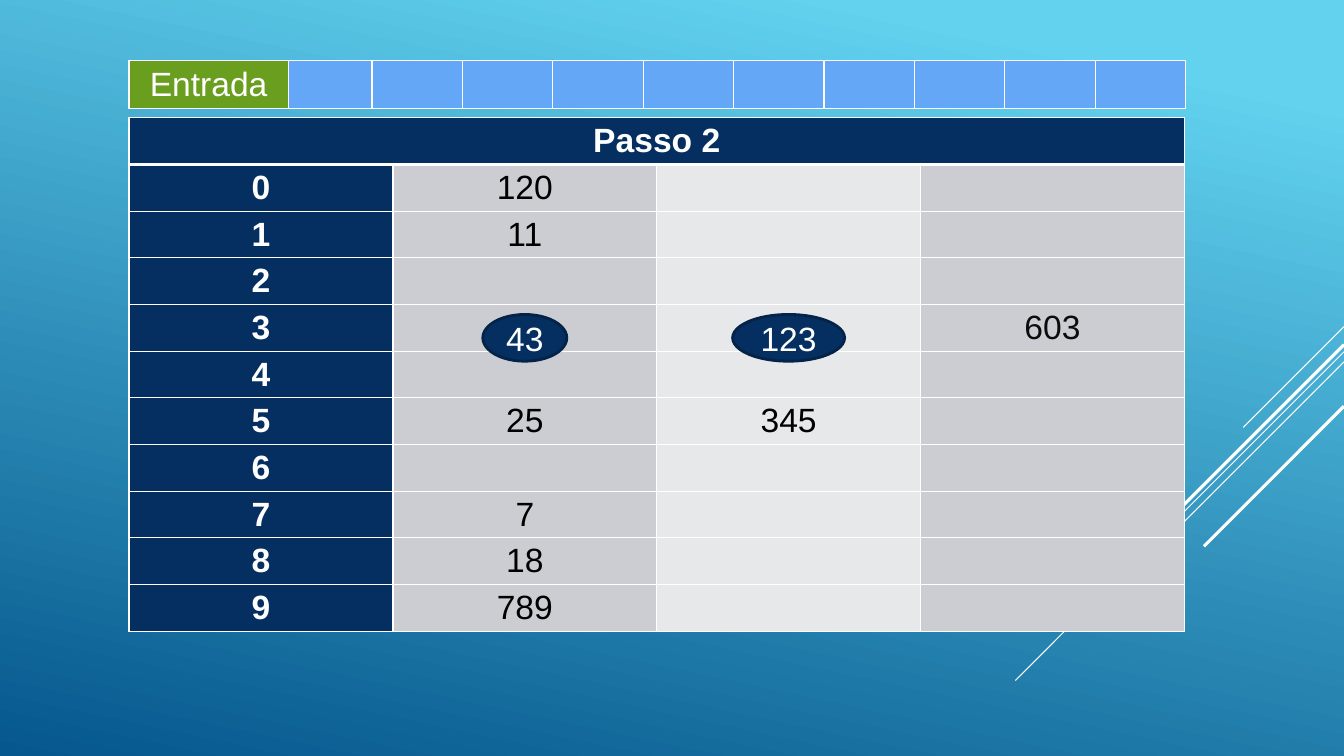
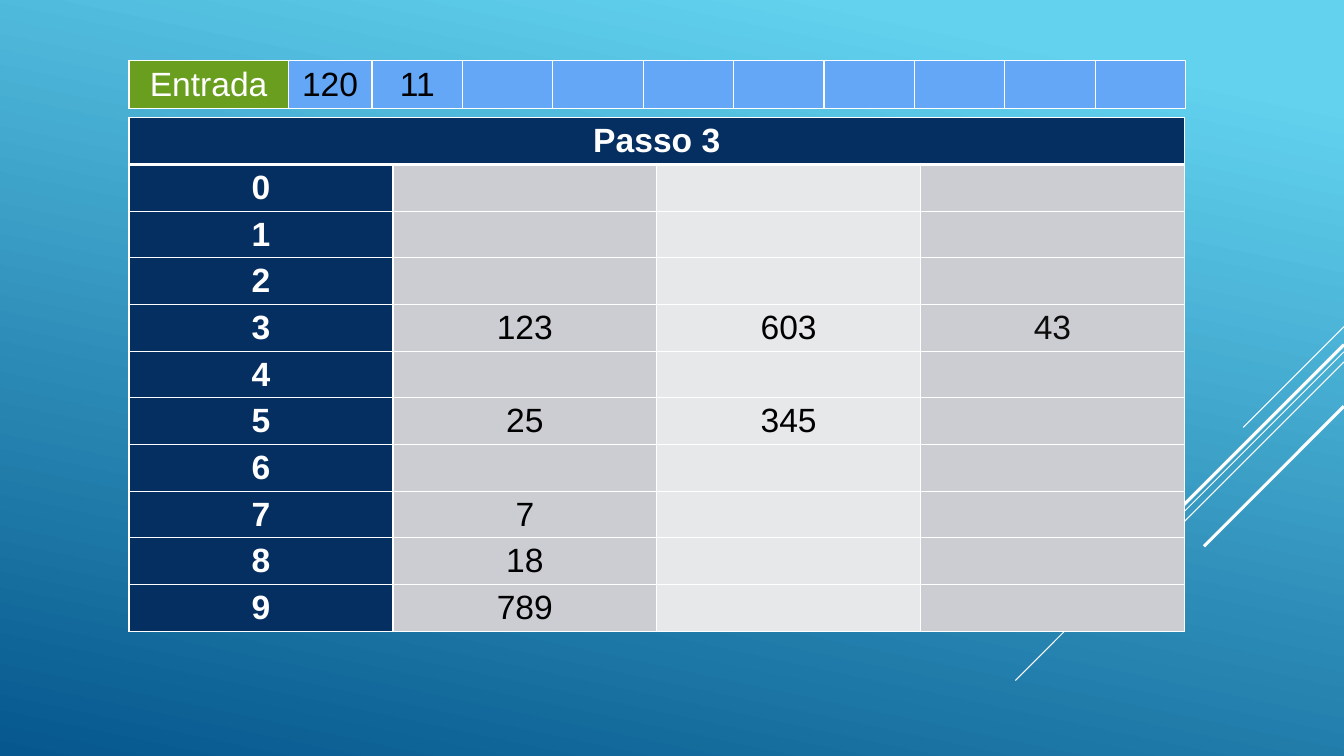
from lxml.etree import SubElement
from pptx import Presentation
from pptx.dml.color import RGBColor
from pptx.enum.shapes import MSO_CONNECTOR as Connector, MSO_SHAPE as Shape
from pptx.enum.text import MSO_ANCHOR as Anchor, PP_ALIGN as Align
from pptx.oxml import parse_xml
from pptx.oxml.ns import nsdecls, qn
from pptx.util import Pt

# Shared look
WIDTH, HEIGHT = 960, 540
WHITE, BLACK, SOFT_BLACK = "FFFFFF", "000000", "0C0C0C"
NAVY, NAVY_LINE = "052F61", "042348"
GREEN, SKY = "6A9E1F", "64A7F7"
COLUMN_FILLS = [NAVY, "CCCDD2", "E7E8EA", "CCCDD2"]
GRADIENT = [("62D2EF", 0.1), ("05578D", 1)]
FONT = {"name": "Arial", "size": Pt(24), "bold": False}

# Diagonal rays: top at the right edge, horizontal run, line width
RAYS = [(233.3, 72, 0.75), (251.3, 234.7, 0.75), (258.5, 149, 0.75),
        (246.2, 137.5, 2.25), (290.2, 100, 2.25)]

# Boxes: left, top, width, height
INPUT_BOX = (92.2, 43.2, 755, 34.5)
BUCKET_BOX = (92.2, 84.2, 753.8, 367)
INPUT_SLOTS = 10
DIGITS = 10

# Bucket contents by digit; marked values are (digit, column, text, width)
STEPS = [
    {"title": "Passo 2", "entries": [],
     "buckets": {0: ["120"], 1: ["11"], 3: ["", "", "603"], 5: ["25", "345"],
                 7: ["7"], 8: ["18"], 9: ["789"]},
     "marked": [(3, 2, "123", 80), (3, 1, "43", 60)]},
    {"title": "Passo 3", "entries": ["120", "11"],
     "buckets": {3: ["123", "603", "43"], 5: ["25", "345"],
                 7: ["7"], 8: ["18"], 9: ["789"]},
     "marked": []},
]


def color(value):
    return RGBColor.from_string(value)


def apply(target, values):
    for name, value in values.items():
        setattr(target, name, value)


def write(text_frame, text, text_color, **changes):
    paragraph = text_frame.paragraphs[0]
    paragraph.alignment = Align.CENTER
    run = paragraph.add_run()
    run.text = text
    apply(run.font, {**FONT, **changes})
    run.font.color.rgb = color(text_color)


def set_borders(cell, **widths):
    properties = cell._tc.get_or_add_tcPr()
    for index, side in enumerate("LRTB"):
        width = Pt(widths.get(side, 1))
        border = parse_xml(
            f'<a:ln{side} {nsdecls("a")} w="{width}"><a:solidFill>'
            f'<a:srgbClr val="{WHITE}"/></a:solidFill></a:ln{side}>')
        properties.insert(index, border)


def fill_cell(cell, fill, text="", text_color=BLACK, margin=3, borders=None, **changes):
    apply(cell, {"vertical_anchor": Anchor.MIDDLE,
                 "margin_top": Pt(margin), "margin_bottom": Pt(margin)})
    cell.fill.solid()
    cell.fill.fore_color.rgb = color(fill)
    set_borders(cell, **(borders or {}))
    if text:
        write(cell.text_frame, text, text_color, **changes)


def add_grid(slide, box, row_count, column_widths):
    table = slide.shapes.add_table(row_count, len(column_widths), *map(Pt, box)).table
    apply(table, {"first_row": False, "horz_banding": False})
    for column, width in zip(table.columns, column_widths):
        column.width = Pt(width)
    return table


def set_background(master):
    fill = master.background.fill
    fill.gradient()
    fill.gradient_angle = 258
    for stop, (value, position) in zip(fill.gradient_stops, GRADIENT):
        stop.color.rgb = color(value)
        stop.position = position


def add_rays(slide):
    for top, run, width in RAYS:
        ends = (WIDTH, top, WIDTH - run, top + run)
        ray = slide.shapes.add_connector(Connector.STRAIGHT, *map(Pt, ends))
        ray.line.color.rgb = color(WHITE)
        ray.line.width = Pt(width)
        SubElement(ray._element.spPr, qn("a:effectLst"))


def add_input_row(slide, box, entries):
    label_width, first_width = 113.6, 60
    slot_width = (box[2] - label_width - first_width) / (INPUT_SLOTS - 1)
    widths = [label_width, first_width] + [slot_width] * (INPUT_SLOTS - 1)
    table = add_grid(slide, box, 1, widths)
    fill_cell(table.cell(0, 0), GREEN, "Entrada", WHITE)
    for slot in range(INPUT_SLOTS):
        text = entries[slot] if slot < len(entries) else ""
        fill_cell(table.cell(0, slot + 1), SKY, text)


def add_bucket_table(slide, box, title, buckets):
    column_count = len(COLUMN_FILLS)
    table = add_grid(slide, box, DIGITS + 1, [box[2] / column_count] * column_count)

    # Title row
    for column in range(column_count):
        text = "" if column else title
        fill_cell(table.cell(0, column), NAVY, text, WHITE, 2.5, {"B": 3}, bold=True)
    table.cell(0, 0).merge(table.cell(0, column_count - 1))

    # One row for each digit
    for digit in range(DIGITS):
        texts = [str(digit)] + buckets.get(digit, [])
        borders = {} if digit else {"T": 3}
        for column, fill in enumerate(COLUMN_FILLS):
            text = texts[column] if column < len(texts) else ""
            text_color = {0: WHITE, 3: SOFT_BLACK}.get(column, BLACK)
            fill_cell(table.cell(digit + 1, column), fill, text, text_color, 2.5,
                      borders, bold=column == 0)


def add_marked_values(slide, box, marked):
    left, top, width, height = box
    column_width, row_height = width / len(COLUMN_FILLS), height / (DIGITS + 1)
    for digit, column, text, oval_width in marked:
        oval_left = left + (column + 0.5) * column_width - oval_width / 2
        oval_top = top + (digit + 1) * row_height + 7
        oval = slide.shapes.add_shape(
            Shape.OVAL, *map(Pt, (oval_left, oval_top, oval_width, 33.4)))
        oval.shadow.inherit = False
        oval.fill.solid()
        oval.fill.fore_color.rgb = color(NAVY)
        oval.line.color.rgb = color(NAVY_LINE)
        oval.line.width = Pt(2)
        apply(oval.text_frame, {
            "word_wrap": False, "vertical_anchor": Anchor.MIDDLE,
            "margin_left": 0, "margin_right": 0})
        write(oval.text_frame, text, WHITE)


def add_step_slide(presentation, step):
    slide = presentation.slides.add_slide(presentation.slide_layouts[6])
    add_rays(slide)
    add_bucket_table(slide, BUCKET_BOX, step["title"], step["buckets"])
    add_input_row(slide, INPUT_BOX, step["entries"])
    add_marked_values(slide, BUCKET_BOX, step["marked"])


def main():
    presentation = Presentation()
    apply(presentation, {"slide_width": Pt(WIDTH), "slide_height": Pt(HEIGHT)})
    set_background(presentation.slide_master)
    for step in STEPS:
        add_step_slide(presentation, step)
    presentation.save("out.pptx")


if __name__ == "__main__":
    main()
